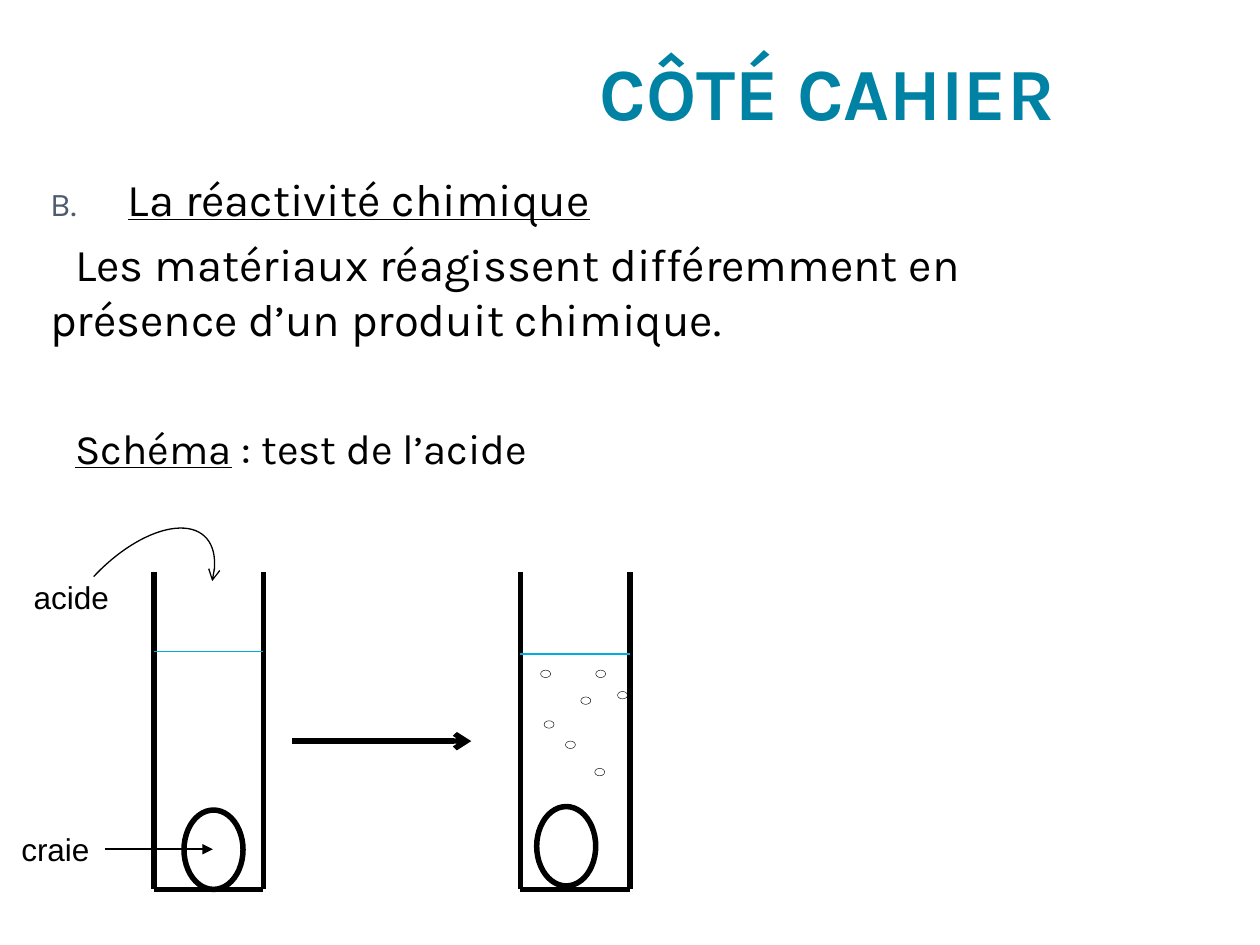
import dataclasses

import pptx
import pptx.dml.color
import pptx.enum.shapes
import pptx.enum.text
import pptx.oxml
import pptx.oxml.ns
import pptx.util

Cm = pptx.util.Cm
Pt = pptx.util.Pt
RGB = pptx.dml.color.RGBColor
Kind = pptx.enum.shapes.MSO_SHAPE
Link = pptx.enum.shapes.MSO_CONNECTOR
Fit = pptx.enum.text.MSO_AUTO_SIZE
Align = pptx.enum.text.PP_ALIGN
Anchor = pptx.enum.text.MSO_ANCHOR

BLACK = RGB(0x00, 0x00, 0x00)
WHITE = RGB(0xFF, 0xFF, 0xFF)
TEAL = RGB(0x00, 0x82, 0xA5)
WATER = RGB(0x00, 0xAD, 0xDC)
SLATE = "4E5B6F"

# Lengths in centimetres
TOP, BASE, WIDE = 11.53, 17.93, 2.21
THICK = 3.15


@dataclasses.dataclass
class Tube:
    left: float
    level: float
    chalk: tuple[float, float]


@dataclasses.dataclass
class Label:
    text: str
    left: float
    top: float


TUBES = [Tube(3.10, 13.13, (3.71, 16.33)), Tube(10.49, 13.18, (10.82, 16.26))]
BUBBLES = [(12.01, 13.51), (12.45, 13.94), (10.90, 13.51), (10.97, 14.53),
           (11.71, 14.05), (11.40, 14.94), (11.99, 15.49)]
LABELS = [Label("acide", 0.43, 11.53), Label("craie", 0.18, 16.61)]


def add_xml(parent, tag: str, **attrs: str):
    node = pptx.oxml.parse_xml(f"<a:{tag} {pptx.oxml.ns.nsdecls('a')}/>")
    for key, value in attrs.items():
        node.set(key, value)
    parent.append(node)
    return node


def style(run, font: str, size: float, color: RGB) -> None:
    run.font.name = font
    run.font.size = Pt(size)
    run.font.color.rgb = color


def add_line(shapes, start: tuple, end: tuple, width: float,
             color: RGB = BLACK, head: str = "") -> None:
    line = shapes.add_connector(Link.STRAIGHT, Cm(start[0]), Cm(start[1]),
                                Cm(end[0]), Cm(end[1]))
    line.line.color.rgb = color
    line.line.width = Pt(width)
    if head:
        add_xml(line.line._get_or_add_ln(), "tailEnd", type=head)
    add_xml(line._element.spPr, "effectLst")


def add_round(shapes, spot: tuple, size: tuple, width: float,
              fill: RGB | None = None, kind=Kind.OVAL):
    shape = shapes.add_shape(kind, Cm(spot[0]), Cm(spot[1]),
                             Cm(size[0]), Cm(size[1]))
    shape.shadow.inherit = False
    if fill is None:
        shape.fill.background()
    else:
        shape.fill.solid()
        shape.fill.fore_color.rgb = fill
    shape.line.color.rgb = BLACK
    shape.line.width = Pt(width)
    return shape


def add_tube(shapes, tube: Tube) -> None:
    right = tube.left + WIDE
    parts = shapes.add_group_shape().shapes
    for x in (tube.left, right):
        add_line(parts, (x, TOP), (x, BASE), THICK)
    add_line(parts, (tube.left, BASE), (right, BASE), THICK)
    add_line(shapes, (tube.left, tube.level), (right, tube.level), 0.9, WATER)
    add_round(shapes, tube.chalk, (1.19, 1.60), THICK, WHITE)


def add_label(shapes, label: Label) -> None:
    box = shapes.add_textbox(Cm(label.left), Cm(label.top), Cm(2.34), Cm(1.02))
    frame = box.text_frame
    frame.word_wrap = True
    frame.auto_size = Fit.SHAPE_TO_FIT_TEXT
    frame.text = label.text
    style(frame.paragraphs[0].runs[0], "Arial", 18, BLACK)


def set_title(title) -> None:
    title.left, title.top = Cm(1.27), Cm(0.89)
    title.width, title.height = Cm(20.12), Cm(1.83)
    frame = title.text_frame
    frame.text = "CÔTÉ CAHIER"
    frame.auto_size = Fit.NONE
    frame.vertical_anchor = Anchor.BOTTOM
    frame.margin_left = frame.margin_right = Cm(0.13)
    frame.margin_top = frame.margin_bottom = 0
    para = frame.paragraphs[0]
    para.alignment = Align.RIGHT
    style(para.runs[0], "Karla", 42, TEAL)
    para.runs[0].font.bold = True


def add_body(shapes) -> None:
    box = shapes.add_textbox(Cm(0.76), Cm(3.33), Cm(21.79), Cm(6.60))
    frame = box.text_frame
    frame.word_wrap = True
    frame.text = ("La réactivité chimique\n"
                  "Les matériaux réagissent différemment en présence "
                  "d’un produit chimique.\nSchéma")
    first, _, last = frame.paragraphs
    last.add_run().text = " : test de l’acide"
    for para, gap, size in zip(frame.paragraphs, (6, 6, 44), (26, 26, 24)):
        para.space_before = Pt(gap)
        para._p.get_or_add_pPr().set("indent", str(Cm(0.51)))
        for run in para.runs:
            style(run, "Karla", size, BLACK)
            run.font.italic = para is last
    first.runs[0].font.underline = last.runs[0].font.underline = True

    # Lettered heading, starting at B
    props = first._p.get_or_add_pPr()
    props.set("marL", str(Cm(1.57)))
    props.set("indent", str(Cm(-1.57)))
    add_xml(add_xml(props, "buClr"), "srgbClr", val=SLATE)
    add_xml(props, "buSzPct", val="73000")
    add_xml(props, "buFont", typeface="Karla")
    add_xml(props, "buAutoNum", type="alphaUcPeriod", startAt="2")


def main() -> None:
    deck = pptx.Presentation()
    deck.slide_width, deck.slide_height = Cm(25.4), Cm(19.05)
    slide = deck.slides.add_slide(deck.slide_layouts[5])
    shapes = slide.shapes

    # Text
    set_title(shapes.title)
    add_body(shapes)

    # Test tubes before and after
    for tube in TUBES:
        add_tube(shapes, tube)
    add_line(shapes, (5.89, 14.94), (9.50, 14.94), 3, head="arrow")
    for spot in BUBBLES:
        add_round(shapes, spot, (0.20, 0.15), 0.25)

    # Pouring arrow
    arc = add_round(shapes, (0.56, 11.28), (4.24, 2.16), 0.75, kind=Kind.ARC)
    arc.rotation = 313
    arc.adjustments[0], arc.adjustments[1] = 162, 15.01
    add_xml(arc.line._get_or_add_ln(), "tailEnd", type="arrow")

    # Labels
    add_line(shapes, (2.11, 17.12), (4.29, 17.12), 0.9, head="triangle")
    for label in LABELS:
        add_label(shapes, label)

    deck.save("out.pptx")


if __name__ == "__main__":
    main()
